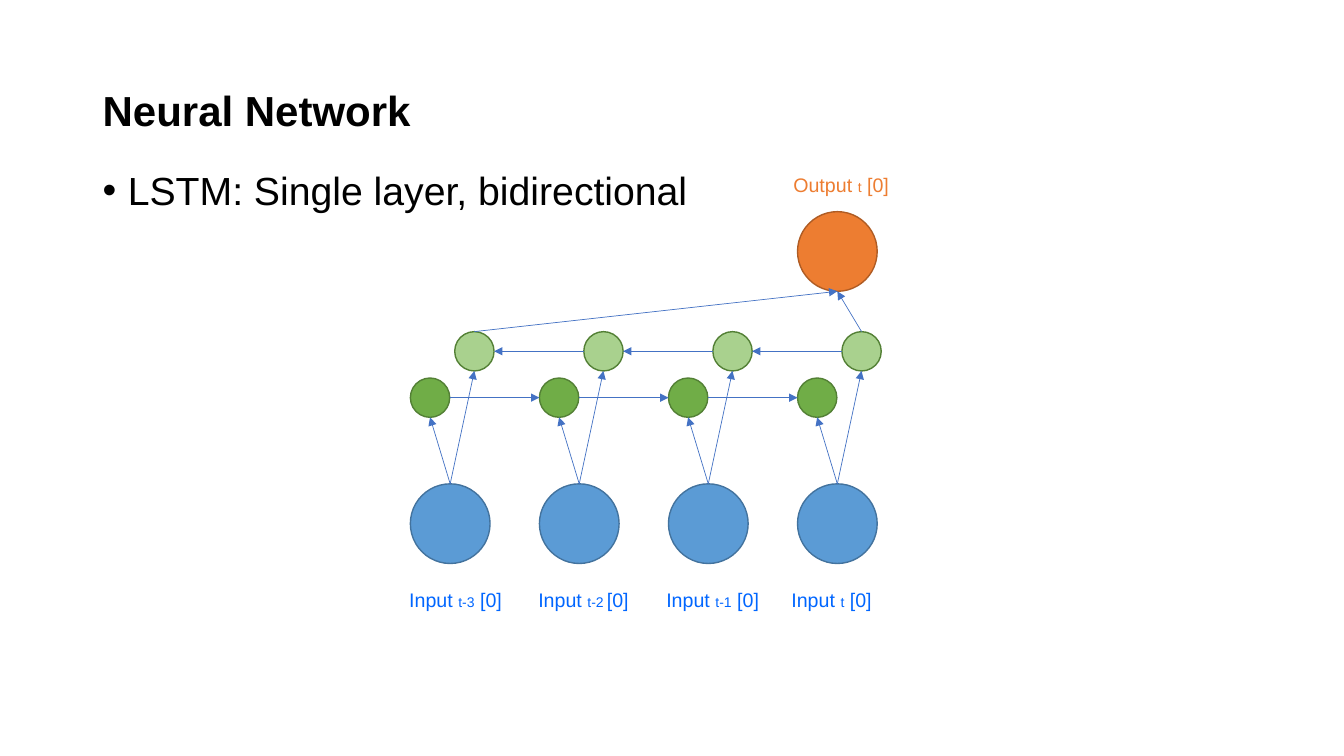
"""Build a slide showing a single-layer bidirectional LSTM."""
import pptx
import pptx.dml.color
import pptx.enum.shapes
import pptx.enum.text
import pptx.oxml.ns
import pptx.util
from lxml import etree
from pptx.util import Inches

THEME = {
    "font": "Arial",
    "title_size": 30, "body_size": 28, "label_size": 14, "index_size": 10, "gap_size": 8,
    "text": "000000", "input_text": "0066FF", "output_text": "ED7D31", "arrow": "4472C4",
    "input": ("5B9BD5", "43739E"),
    "forward": ("70AD47", "538035"),
    "backward": ("A9D18E", "538035"),
    "output": ("ED7D31", "AF5C24"),
    "outline_width": 1, "arrow_width": 0.5,
}

TITLE = "Neural Network"
BULLET = "LSTM: Single layer, bidirectional"
LABEL, INDEX, GAP = THEME["label_size"], THEME["index_size"], THEME["gap_size"]
INPUT_LABELS = [
    (3.96, [("Input ", LABEL), ("t-3", INDEX), (" [0]", LABEL)]),
    (5.24, [("Input ", LABEL), ("t-2", INDEX), (" ", GAP), ("[0]", LABEL)]),
    (6.51, [("Input ", LABEL), ("t-1", INDEX), (" [0]", LABEL)]),
    (7.75, [("Input ", LABEL), ("t", INDEX), (" [0]", LABEL)]),
]
OUTPUT_LABEL = [("Output ", LABEL), ("t", INDEX), (" [0]", LABEL)]

STEPS = 4
PITCH = 1.28
LARGE, SMALL = 0.79, 0.39
LAYERS = {
    "input": (4.07, 4.8, LARGE, range(STEPS)),
    "forward": (4.07, 3.75, SMALL, range(STEPS)),
    "backward": (4.51, 3.29, SMALL, range(STEPS)),
    "output": (4.07, 2.1, LARGE, [STEPS - 1]),
}


def rgb(name):
    return pptx.dml.color.RGBColor.from_string(name)


def add_child(parent, tag, **attributes):
    return etree.SubElement(parent, pptx.oxml.ns.qn(tag), attributes)


def add_text(page, runs, left, top, width, height, color=THEME["text"], bold=False,
             middle=False, wrap=True, line_spacing=None, space_before=None, bullet=None):
    """Place one paragraph made of (text, size) runs."""
    box = page.shapes.add_textbox(Inches(left), Inches(top), Inches(width), Inches(height))
    frame = box.text_frame
    frame.word_wrap = wrap
    anchors = pptx.enum.text.MSO_ANCHOR
    frame.vertical_anchor = anchors.MIDDLE if middle else anchors.TOP
    para = frame.paragraphs[0]
    if line_spacing:
        para.line_spacing = line_spacing
    if space_before:
        para.space_before = pptx.util.Pt(space_before)
    if bullet:
        properties = para._p.get_or_add_pPr()
        properties.set("marL", str(Inches(0.25)))
        properties.set("indent", str(-Inches(0.25)))
        add_child(properties, "a:buFont", typeface=THEME["font"])
        add_child(properties, "a:buChar", char=bullet)
    for text, size in runs:
        span = para.add_run()
        span.text = text
        span.font.name = THEME["font"]
        span.font.size = pptx.util.Pt(size)
        span.font.bold = bold
        span.font.color.rgb = rgb(color)


def add_node(page, layer, step):
    """Draw one circle and return its four edge points."""
    first, top, size, _ = LAYERS[layer]
    left = first + step * PITCH
    node = page.shapes.add_shape(pptx.enum.shapes.MSO_SHAPE.OVAL, Inches(left), Inches(top),
                                 Inches(size), Inches(size))
    fill, outline = THEME[layer]
    node.shadow.inherit = False
    node.fill.solid()
    node.fill.fore_color.rgb = rgb(fill)
    node.line.color.rgb = rgb(outline)
    node.line.width = pptx.util.Pt(THEME["outline_width"])
    half = size / 2
    return {"top": (left + half, top), "bottom": (left + half, top + size),
            "left": (left, top + half), "right": (left + size, top + half)}


def add_arrow(page, start, end):
    arrow = page.shapes.add_connector(pptx.enum.shapes.MSO_CONNECTOR.STRAIGHT,
                                      *map(Inches, start + end))
    arrow.line.color.rgb = rgb(THEME["arrow"])
    arrow.line.width = pptx.util.Pt(THEME["arrow_width"])
    add_child(arrow.line._get_or_add_ln(), "a:tailEnd", type="triangle")
    add_child(arrow._element.spPr, "a:effectLst")


def main():
    deck = pptx.Presentation()
    deck.slide_width, deck.slide_height = Inches(13.33), Inches(7.5)
    page = deck.slides.add_slide(deck.slide_layouts[6])

    add_text(page, [(TITLE, THEME["title_size"])], 0.92, 0.4, 11.5, 1.45,
             bold=True, middle=True, line_spacing=0.9)
    add_text(page, [(BULLET, THEME["body_size"])], 0.92, 1.65, 11.5, 0.85,
             line_spacing=0.9, space_before=10, bullet="•")

    nodes = {layer: [add_node(page, layer, step) for step in place[3]]
             for layer, place in LAYERS.items()}
    inputs, forward, backward = nodes["input"], nodes["forward"], nodes["backward"]
    target = nodes["output"][0]["bottom"]

    for step in range(STEPS):
        add_arrow(page, inputs[step]["top"], forward[step]["bottom"])
        add_arrow(page, inputs[step]["top"], backward[step]["bottom"])
    for step in range(STEPS - 1):
        add_arrow(page, forward[step]["right"], forward[step + 1]["left"])
        add_arrow(page, backward[step + 1]["left"], backward[step]["right"])
    for source in (backward[0], backward[-1]):
        add_arrow(page, source["top"], target)

    for left, runs in INPUT_LABELS:
        add_text(page, runs, left, 5.78, 1.39, 0.34, color=THEME["input_text"])
    add_text(page, OUTPUT_LABEL, 7.77, 1.67, 1.17, 0.34, color=THEME["output_text"], wrap=False)

    deck.save("out.pptx")


if __name__ == "__main__":
    main()
